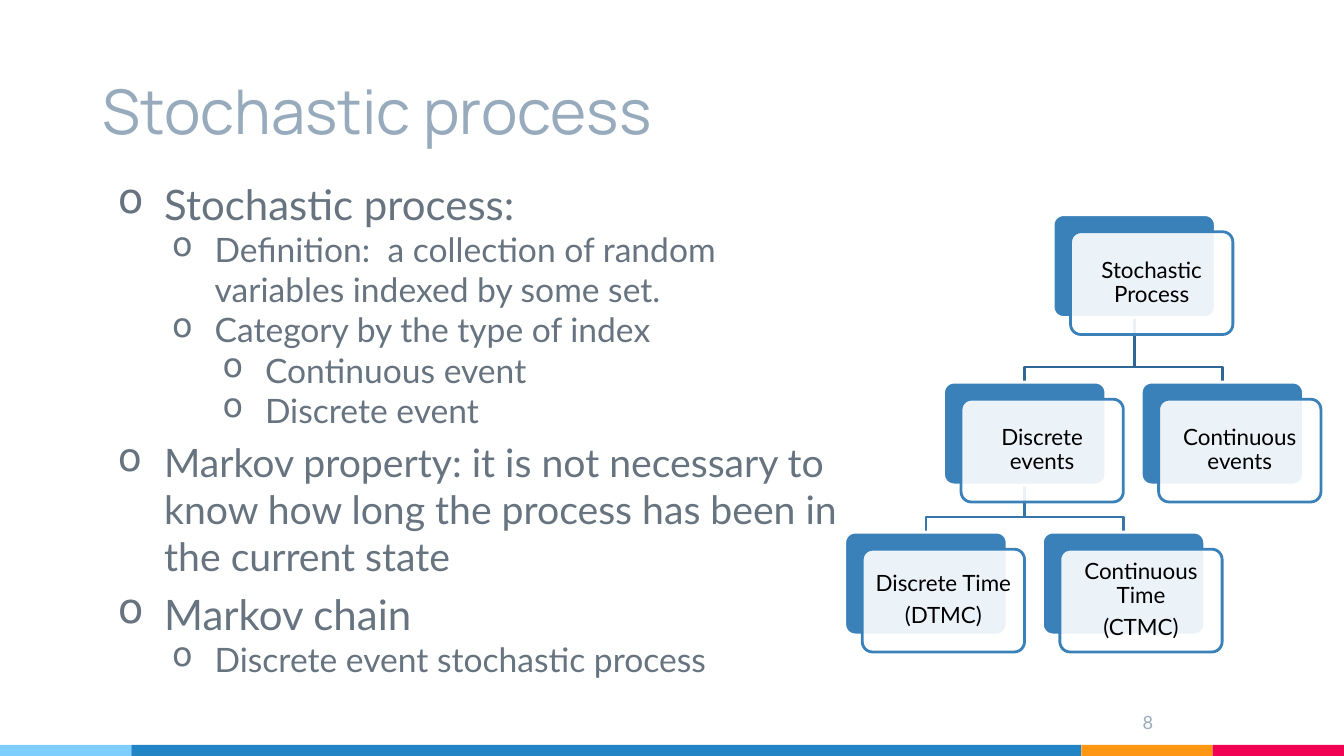
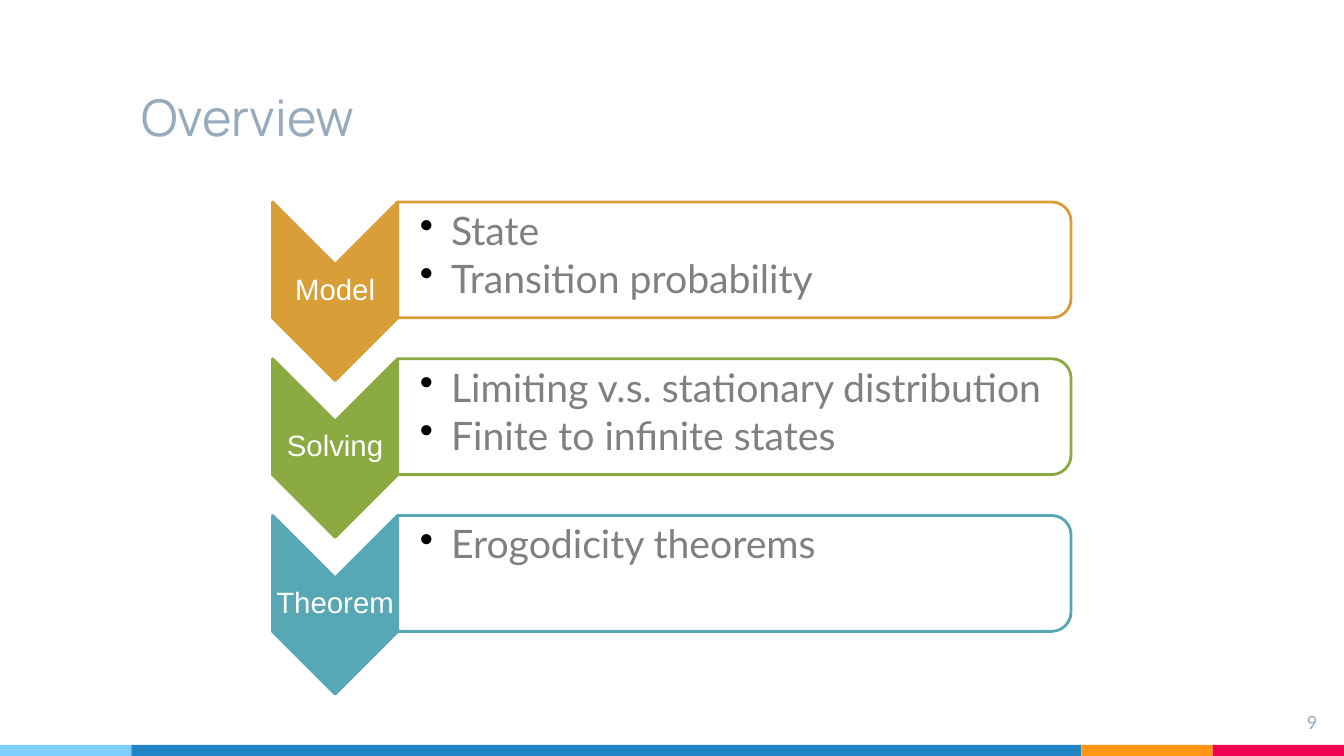
"""Build two slides on stochastic processes: a definition with a tree, and an overview."""
from dataclasses import dataclass
from typing import NamedTuple, Optional

from lxml import etree
from pptx import Presentation
from pptx.dml.color import RGBColor
from pptx.enum.shapes import MSO_SHAPE
from pptx.enum.text import MSO_ANCHOR, MSO_AUTO_SIZE, PP_ALIGN
from pptx.oxml.ns import qn
from pptx.presentation import Presentation as Deck
from pptx.shapes.autoshape import Shape
from pptx.slide import Slide
from pptx.text.text import TextFrame
from pptx.util import Cm, Pt

RECTANGLE = MSO_SHAPE.RECTANGLE
ROUNDED = MSO_SHAPE.ROUNDED_RECTANGLE
CHEVRON = MSO_SHAPE.CHEVRON
TWO_ROUNDED = MSO_SHAPE.ROUND_2_SAME_RECTANGLE
TOP, MIDDLE, BOTTOM = MSO_ANCHOR.TOP, MSO_ANCHOR.MIDDLE, MSO_ANCHOR.BOTTOM
LEFT, CENTER, RIGHT = PP_ALIGN.LEFT, PP_ALIGN.CENTER, PP_ALIGN.RIGHT
TITLE_ONLY = 5


class Area(NamedTuple):
    """A rectangle in centimetres."""
    left: float
    top: float
    width: float
    height: float


@dataclass(frozen=True)
class TextStyle:
    """Font, size in points and colour of a run."""
    font: str
    size: float
    color: str


@dataclass(frozen=True)
class Theme:
    """Colours and text styles of the deck."""
    white: str = "FFFFFF"
    black: str = "000000"
    tree: str = "3A81BA"
    upper_link: str = "2E6795"
    lower_link: str = "3575A9"
    orange: str = "D89F39"
    green: str = "8BAB42"
    teal: str = "57A7B5"
    line_width: float = 2
    title: TextStyle = TextStyle("Manrope", 44, "97ABBC")
    small_title: TextStyle = TextStyle("Manrope", 36, "97ABBC")
    number: TextStyle = TextStyle("Lato", 13, "97ABBC")
    topic: TextStyle = TextStyle("Lato", 30, "677480")
    long_topic: TextStyle = TextStyle("Lato", 28, "677480")
    detail: TextStyle = TextStyle("Lato", 24, "677480")
    node: TextStyle = TextStyle("Lato", 16, "000000")
    stage: TextStyle = TextStyle("Arial", 21, "FFFFFF")
    stage_item: TextStyle = TextStyle("Lato", 28, "808080")


THEME = Theme()


@dataclass(frozen=True)
class Bullet:
    """Bullet character, colour and its indents in centimetres."""
    char: str
    color: str
    margin: float
    hanging: float


@dataclass(frozen=True)
class Line:
    """A paragraph with its style, bullet and spacing."""
    text: str
    style: TextStyle
    bullet: Optional[Bullet] = None
    align: PP_ALIGN = LEFT
    before: float = 0
    after: float = 0
    spacing: Optional[float] = None


class Band(NamedTuple):
    """One piece of the bottom stripe."""
    left: float
    right: float
    color: str


class Node(NamedTuple):
    """A tree box by its upper left corner."""
    left: float
    top: float
    lines: tuple[str, ...]


class Link(NamedTuple):
    """A branch between two tree boxes."""
    parent: str
    child: str
    color: str


class Stage(NamedTuple):
    """A chevron with its list."""
    name: str
    color: str
    items: tuple[str, ...]


BANDS = (
    Band(0, 3.31, "7ECEFD"),
    Band(3.31, 27.25, "2185C5"),
    Band(27.25, 30.56, "FF9715"),
    Band(30.56, 33.87, "F20253"),
)

BODY_BULLETS = (
    Bullet("o", "677480", 1.27, 1.17),
    Bullet("o", "677480", 2.54, 1.07),
    Bullet("o", "677480", 3.81, 1.07),
)
BODY = (
    (0, "Stochastic process:", THEME.topic),
    (1, "Definition:  a collection of random variables indexed by some set.", THEME.detail),
    (1, "Category by the type of index", THEME.detail),
    (2, "Continuous event", THEME.detail),
    (2, "Discrete event", THEME.detail),
    (0, "Markov property: it is not necessary to know how long the process "
        "has been in the current state", THEME.long_topic),
    (0, "Markov chain", THEME.topic),
    (1, "Discrete event stochastic process", THEME.detail),
)

NODE_WIDTH, NODE_HEIGHT = 4.09, 2.59
NODE_SHIFT_X, NODE_SHIFT_Y = 0.44, 0.43
LINK_DROP = 0.38
COLUMNS = [21.29 + 2.49 * column for column in range(4)]
ROWS = (5.41, 9.63, 13.41)
NODES = {
    "root": Node(26.54, ROWS[0], ("Stochastic Process",)),
    "discrete": Node(COLUMNS[1], ROWS[1], ("Discrete events",)),
    "dtmc": Node(COLUMNS[0], ROWS[2], ("Discrete Time", "(DTMC)")),
    "ctmc": Node(COLUMNS[2], ROWS[2], ("Continuous Time", "(CTMC)")),
    "continuous": Node(COLUMNS[3], ROWS[1], ("Continuous events",)),
}
LINKS = (
    Link("root", "continuous", THEME.upper_link),
    Link("discrete", "ctmc", THEME.lower_link),
    Link("discrete", "dtmc", THEME.lower_link),
    Link("root", "discrete", THEME.upper_link),
)

STAGES = (
    Stage("Model", THEME.orange, ("State", "Transition probability")),
    Stage("Solving", THEME.green,
          ("Limiting v.s. stationary distribution", "Finite to infinite states")),
    Stage("Theorem", THEME.teal, ("Erogodicity theorems",)),
)
STAGE_TOP, STAGE_STEP = 5.09, 3.95
STAGE_BULLET = Bullet("•", THEME.black, 0.79, 0.79)


def to_cm(area: Area) -> list[Cm]:
    """Turn an area into lengths."""
    return [Cm(value) for value in area]


def write(frame: TextFrame, lines: list[Line], anchor: MSO_ANCHOR = TOP,
          insets: Area = Area(0.25, 0.25, 0.25, 0.25)) -> None:
    """Fill a text frame; insets run left, top, right, bottom."""
    frame.word_wrap = True
    frame.auto_size = MSO_AUTO_SIZE.NONE
    frame.vertical_anchor = anchor
    (frame.margin_left, frame.margin_top,
     frame.margin_right, frame.margin_bottom) = to_cm(insets)
    for index, line in enumerate(lines):
        para = frame.add_paragraph() if index else frame.paragraphs[0]
        para.alignment = line.align
        para.space_before = Pt(line.before if index else 0)
        para.space_after = Pt(line.after)
        if line.spacing:
            para.line_spacing = line.spacing
        if line.bullet:
            properties = para._p.get_or_add_pPr()
            properties.set("marL", str(Cm(line.bullet.margin)))
            properties.set("indent", str(-Cm(line.bullet.hanging)))
            color = etree.SubElement(properties, qn("a:buClr"))
            etree.SubElement(color, qn("a:srgbClr"), val=line.bullet.color)
            etree.SubElement(properties, qn("a:buChar"), char=line.bullet.char)
        span = para.add_run()
        span.text = line.text
        span.font.name = line.style.font
        span.font.size = Pt(line.style.size)
        span.font.color.rgb = RGBColor.from_string(line.style.color)


def add_text(page: Slide, area: Area, lines: list[Line], anchor: MSO_ANCHOR = TOP,
             insets: Area = Area(0.25, 0.25, 0.25, 0.25)) -> None:
    """Add a text box."""
    write(page.shapes.add_textbox(*to_cm(area)).text_frame, lines, anchor, insets)


def set_line(shape: Shape, color: Optional[str]) -> None:
    """Give a shape its outline, or none, and no shadow."""
    shape.shadow.inherit = False
    if color is None:
        shape.line.fill.background()
        return
    shape.line.color.rgb = RGBColor.from_string(color)
    shape.line.width = Pt(THEME.line_width)


def add_box(page: Slide, kind: MSO_SHAPE, area: Area, fill: str,
            outline: Optional[str] = None, opacity: int = 100) -> Shape:
    """Add a filled preset shape."""
    box = page.shapes.add_shape(kind, *to_cm(area))
    box.fill.solid()
    box.fill.fore_color.rgb = RGBColor.from_string(fill)
    if opacity < 100:
        color = box._element.spPr.find(qn("a:solidFill"))[0]
        etree.SubElement(color, qn("a:alpha"), val=str(opacity * 1000))
    set_line(box, outline)
    return box


def add_turned_box(page: Slide, kind: MSO_SHAPE, seen: Area, fill: str,
                   outline: str, opacity: int = 100) -> None:
    """Add a shape turned by 90 degrees that covers the seen area."""
    left, top, width, height = seen
    half = (width - height) / 2
    frame = Area(left + half, top - half, height, width)
    add_box(page, kind, frame, fill, outline, opacity).rotation = 90


def add_page(deck: Deck, title: str, style: TextStyle, title_area: Area,
             number: str, number_area: Area) -> Slide:
    """Add a slide with its stripe, title and number."""
    page = deck.slides.add_slide(deck.slide_layouts[TITLE_ONLY])
    for band in BANDS:
        add_box(page, RECTANGLE, Area(band.left, 18.77, band.right - band.left, 0.28), band.color)
    heading = page.shapes.title
    heading.left, heading.top, heading.width, heading.height = to_cm(title_area)
    write(heading.text_frame, [Line(title, style)], BOTTOM)
    add_text(page, number_area, [Line(number, THEME.number, align=RIGHT)])
    return page


def add_link(page: Slide, link: Link) -> None:
    """Draw a bent branch from a parent's bottom to a child's top."""
    parent, child = NODES[link.parent], NODES[link.child]
    start, end = Cm(parent.left + NODE_WIDTH / 2), Cm(child.left + NODE_WIDTH / 2)
    turn = Cm(child.top - LINK_DROP)
    outline = page.shapes.build_freeform(start, Cm(parent.top + NODE_HEIGHT))
    outline.add_line_segments([(start, turn), (end, turn), (end, Cm(child.top))], close=False)
    branch = outline.convert_to_shape()
    branch.fill.background()
    set_line(branch, link.color)


def add_node(page: Slide, node: Node) -> None:
    """Draw a tree box with its shifted label card."""
    back = Area(node.left, node.top, NODE_WIDTH, NODE_HEIGHT)
    front = back._replace(left=node.left + NODE_SHIFT_X, top=node.top + NODE_SHIFT_Y)
    add_box(page, ROUNDED, back, THEME.tree, THEME.white).adjustments[0] = 0.1
    card = add_box(page, ROUNDED, front, THEME.white, THEME.tree, 90)
    card.adjustments[0] = 0.1
    lines = [Line(text, THEME.node, align=CENTER, after=5.6, spacing=0.9) for text in node.lines]
    write(card.text_frame, lines, MIDDLE, Area(0.18, 0.18, 0.18, 0.18))


def add_stage(page: Slide, stage: Stage, top: float) -> None:
    """Draw a chevron with its name and the list beside it."""
    add_turned_box(page, CHEVRON, Area(6.87, top, 3.15, 4.5), stage.color, stage.color)
    name = Line(stage.name, THEME.stage, align=CENTER, after=7.35, spacing=0.9)
    add_text(page, Area(6.87, top + 1.56, 3.15, 1.35), [name], MIDDLE,
             Area(0.03, 0.03, 0.03, 0.03))
    add_turned_box(page, TWO_ROUNDED, Area(10.02, top, 16.97, 2.92),
                   THEME.white, stage.color, 90)
    items = [Line(text, THEME.stage_item, STAGE_BULLET, after=4.2, spacing=0.9)
             for text in stage.items]
    add_text(page, Area(10.02, top + 0.14, 16.84, 2.64), items, TOP,
             Area(0.56, 0.1, 0.05, 0.05))


def build_process(deck: Deck) -> None:
    """Build the definition slide with its tree."""
    page = add_page(deck, "Stochastic process", THEME.title, Area(2.34, 0.76, 29.06, 3.18),
                    "8", Area(27.79, 17.68, 1.52, 1.17))
    lines = [Line(text, style, BODY_BULLETS[level], before=0 if level else 6)
             for level, text, style in BODY]
    add_text(page, Area(2.62, 4.24, 19, 13.16), lines)
    for link in LINKS:
        add_link(page, link)
    for node in NODES.values():
        add_node(page, node)


def build_overview(deck: Deck) -> None:
    """Build the overview slide with its stages."""
    page = add_page(deck, "Overview", THEME.small_title, Area(3.31, 0.76, 26.72, 3.18),
                    "9", Area(31.42, 17.68, 2.03, 1.17))
    for index, stage in enumerate(STAGES):
        add_stage(page, stage, STAGE_TOP + index * STAGE_STEP)


def main() -> None:
    """Build and save the deck."""
    deck = Presentation()
    deck.slide_width, deck.slide_height = Cm(33.87), Cm(19.05)
    build_process(deck)
    build_overview(deck)
    deck.save("out.pptx")


if __name__ == "__main__":
    main()
